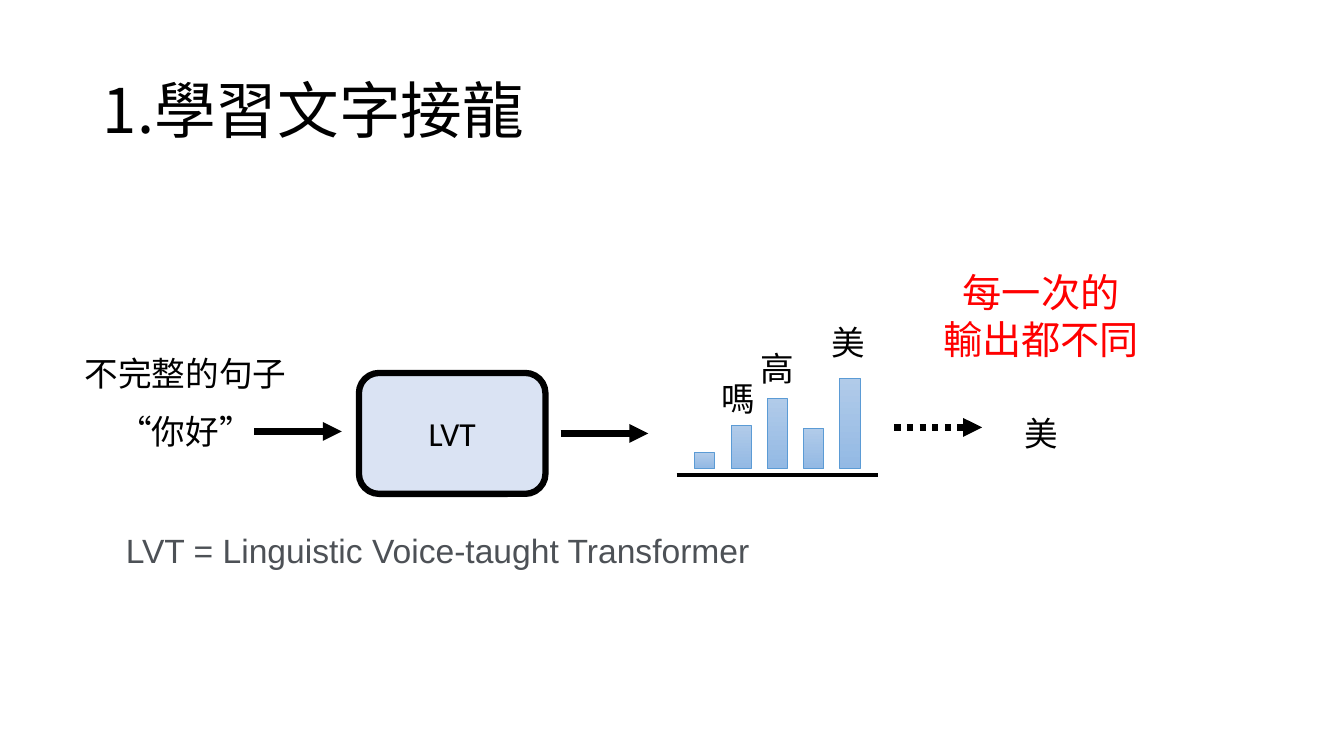
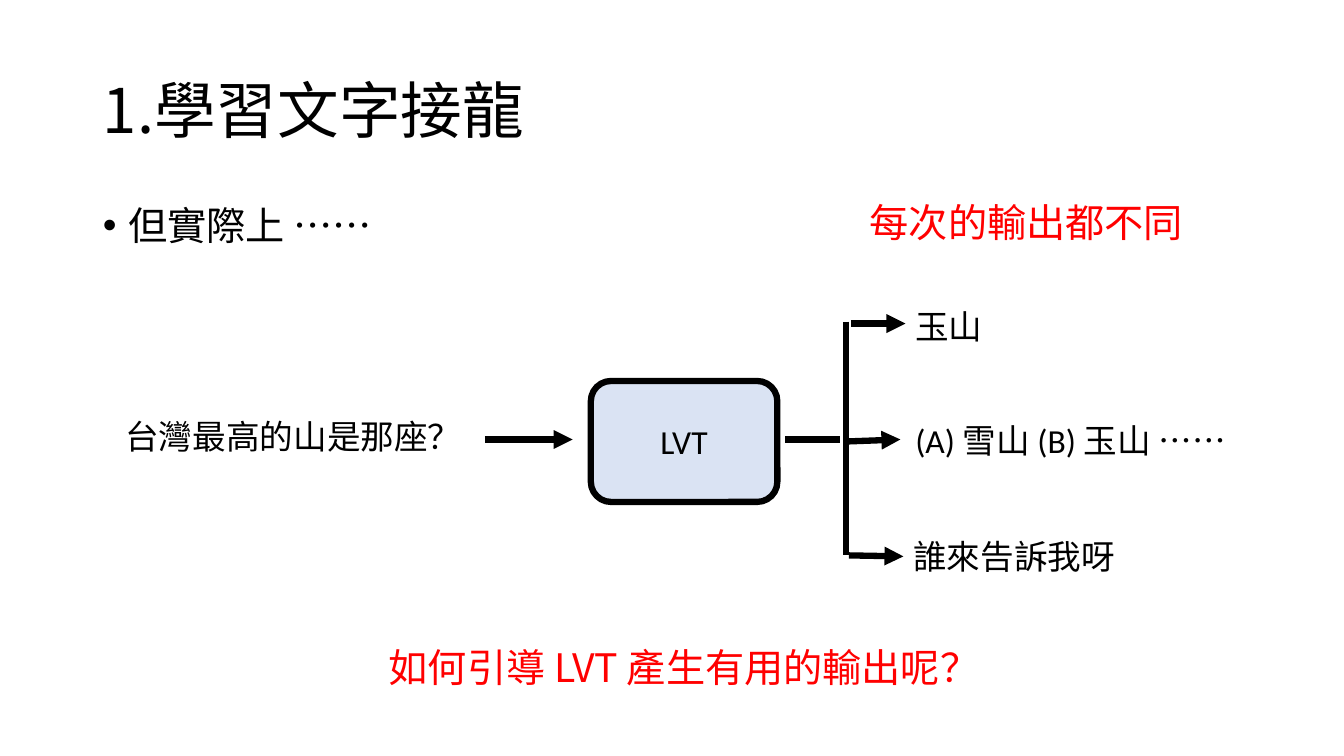
from lxml.etree import SubElement
from pptx import Presentation
from pptx.dml.color import RGBColor
from pptx.enum.dml import MSO_LINE
from pptx.enum.shapes import MSO_CONNECTOR, MSO_SHAPE
from pptx.enum.text import MSO_ANCHOR, MSO_AUTO_SIZE, PP_ALIGN
from pptx.oxml.ns import qn
from pptx.util import Pt

PX = 9144
COLORS = {
    "black": "000000",
    "red": "FF0000",
    "gray": "4D5156",
    "model": "DAE3F3",
    "bar_top": "B1CBE9",
    "bar_bottom": "93B9E4",
    "bar_line": "5B9BD5",
}
CJK_FONT = "Noto Sans CJK SC"
LEFT, CENTER = PP_ALIGN.LEFT, PP_ALIGN.CENTER
TITLE = "1.學習文字接龍"


def write_text(shape, text, size=24, font="Calibri", color="black", align=CENTER,
               anchor=MSO_ANCHOR.TOP, auto_size=MSO_AUTO_SIZE.NONE, line_spacing=1.0):
    frame = shape.text_frame
    frame.text = text
    frame.word_wrap = True
    frame.auto_size = auto_size
    frame.vertical_anchor = anchor
    for paragraph in frame.paragraphs:
        paragraph.alignment = align
        paragraph.line_spacing = line_spacing
        for run in paragraph.runs:
            run.font.size = Pt(size)
            run.font.name = font
            run.font.color.rgb = RGBColor.from_string(COLORS[color])
            east_asian = SubElement(run.font._element, qn("a:ea"))
            east_asian.set("typeface", CJK_FONT)


def add_line(slide, points, width=4.5, arrow=False, dash=None):
    connector = slide.shapes.add_connector(MSO_CONNECTOR.STRAIGHT, *[value * PX for value in points])
    connector.line.width = Pt(width)
    connector.line.color.rgb = RGBColor.from_string(COLORS["black"])
    if dash:
        connector.line.dash_style = dash
    if arrow:
        SubElement(connector.line._get_or_add_ln(), qn("a:tailEnd")).set("type", "triangle")
    SubElement(connector._element.spPr, qn("a:effectLst"))


presentation = Presentation()
presentation.slide_width = 1333 * PX
presentation.slide_height = 750 * PX

slides = []
for layout_index, model_left, model_top in [(5, 356, 370), (1, 586, 378)]:
    slide = presentation.slides.add_slide(presentation.slide_layouts[layout_index])
    slides.append(slide)
    title = slide.shapes.title
    title.left, title.top, title.width, title.height = [value * PX for value in (92, 40, 1150, 145)]
    write_text(title, TITLE, size=44, font=CJK_FONT, align=LEFT,
               anchor=MSO_ANCHOR.MIDDLE, line_spacing=0.9)
    model = slide.shapes.add_shape(MSO_SHAPE.ROUNDED_RECTANGLE,
                                   model_left * PX, model_top * PX, 185 * PX, 120 * PX)
    model.shadow.inherit = False
    model.fill.solid()
    model.fill.fore_color.rgb = RGBColor.from_string(COLORS["model"])
    model.line.color.rgb = RGBColor.from_string(COLORS["black"])
    model.line.width = Pt(4.5)
    write_text(model, "LVT", anchor=MSO_ANCHOR.MIDDLE)

sampling_slide, question_slide = slides

body = question_slide.placeholders[1]
body.left, body.top, body.width, body.height = [value * PX for value in (92, 200, 1150, 476)]
write_text(body, "但實際上 ……", size=28, font=CJK_FONT, align=LEFT, line_spacing=0.9)
bullet_paragraph = body.text_frame.paragraphs[0]
bullet_paragraph.space_before = Pt(10)
bullet_properties = bullet_paragraph._p.get_or_add_pPr()
bullet_properties.set("marL", str(25 * PX))
bullet_properties.set("indent", str(-25 * PX))
SubElement(bullet_properties, qn("a:buFont")).set("typeface", "Arial")
SubElement(bullet_properties, qn("a:buChar")).set("char", "•")

highlight = {"size": 28, "font": CJK_FONT, "color": "red"}
labels = [
    (sampling_slide, (79, 403, 210, 50), "“你好”", {}),
    (sampling_slide, (115, 521, 666, 50), "LVT = Linguistic Voice-taught Transformer",
     {"font": "Arial", "color": "gray", "align": LEFT}),
    (sampling_slide, (32, 345, 304, 50), "不完整的句子", {"font": CJK_FONT}),
    (sampling_slide, (776, 314, 131, 50), "美", {}),
    (sampling_slide, (705, 340, 131, 50), "高", {}),
    (sampling_slide, (667, 370, 131, 50), "嗎", {}),
    (sampling_slide, (967, 405, 131, 50), "美", {}),
    (sampling_slide, (910, 261, 245, 104), "每一次的\n輸出都不同", highlight),
    (question_slide, (92, 408, 398, 50), "台灣最高的山是那座？", {}),
    (question_slide, (898, 299, 185, 50), "玉山", {"align": LEFT}),
    (question_slide, (898, 412, 330, 50), "(A) 雪山 (B) 玉山 ……", {"align": LEFT}),
    (question_slide, (896, 527, 244, 50), "誰來告訴我呀", {"align": LEFT}),
    (question_slide, (830, 192, 376, 57), "每次的輸出都不同", highlight),
    (question_slide, (210, 633, 937, 57), "如何引導 LVT 產生有用的輸出呢？", highlight),
]
for slide, box, text, text_format in labels:
    label = slide.shapes.add_textbox(*[value * PX for value in box])
    write_text(label, text, auto_size=MSO_AUTO_SIZE.SHAPE_TO_FIT_TEXT, **text_format)

bar_baseline = 465
for index, bar_height in enumerate([16, 43, 70, 40, 90]):
    bar = sampling_slide.shapes.add_shape(MSO_SHAPE.RECTANGLE, (689 + 36 * index) * PX,
                                          (bar_baseline - bar_height) * PX, 20 * PX, bar_height * PX)
    bar.shadow.inherit = False
    bar.fill.gradient()
    bar.fill.gradient_angle = 270
    for stop, color in zip(bar.fill.gradient_stops, ("bar_top", "bar_bottom")):
        stop.color.rgb = RGBColor.from_string(COLORS[color])
    bar.line.color.rgb = RGBColor.from_string(COLORS["bar_line"])
    bar.line.width = Pt(0.5)

add_line(sampling_slide, (671, 471, 871, 471), width=3)
add_line(sampling_slide, (887, 424, 974, 424), arrow=True, dash=MSO_LINE.ROUND_DOT)
add_line(question_slide, (779, 436, 833, 436))
add_line(question_slide, (839, 319, 839, 551))
arrows = [
    (sampling_slide, (252, 428, 339, 428)),
    (sampling_slide, (556, 430, 643, 430)),
    (question_slide, (481, 436, 568, 436)),
    (question_slide, (844, 321, 898, 321)),
    (question_slide, (839, 438, 893, 436)),
    (question_slide, (842, 551, 896, 552)),
]
for slide, points in arrows:
    add_line(slide, points, arrow=True)

presentation.save("out.pptx")
